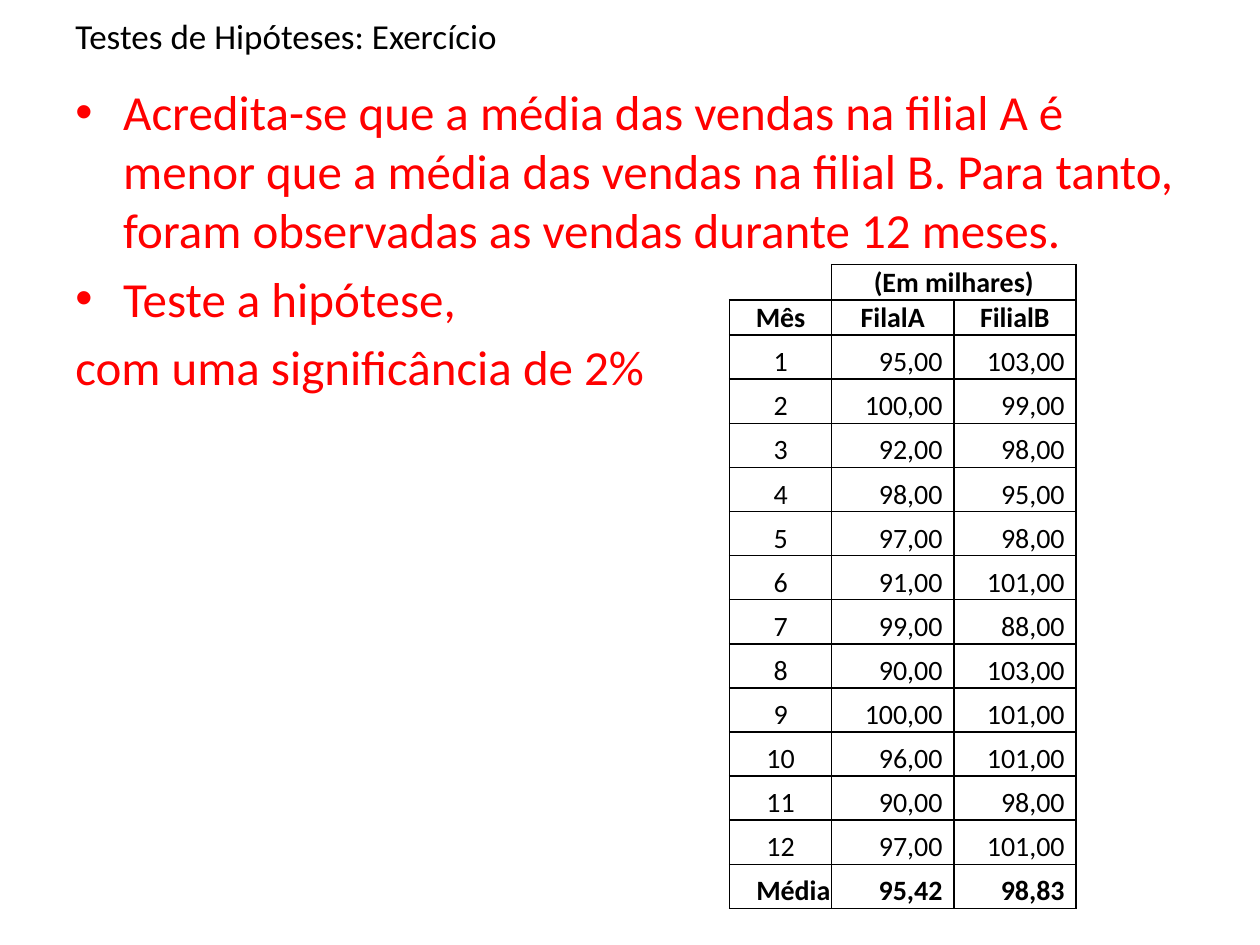
import pptx
import pptx.dml.color
import pptx.enum.text
import pptx.oxml.ns
import pptx.util
from lxml import etree

Inches = pptx.util.Inches
Pt = pptx.util.Pt
qn = pptx.oxml.ns.qn
Align = pptx.enum.text.PP_ALIGN
Anchor = pptx.enum.text.MSO_ANCHOR

COLORS = {"text": "000000", "exercise": "FF0000", "border": "000000"}

TITLE = "Testes de Hipóteses: Exercício"
EXERCISE = [  # text, has a bullet
    ("Acredita-se que a média das vendas na filial A é menor que a média das "
     "vendas na filial B. Para tanto, foram observadas as vendas durante 12 meses.", True),
    ("Teste a hipótese,", True),
    ("com uma significância de 2%", False),
]
SALES_A = [95, 100, 92, 98, 97, 91, 99, 90, 100, 96, 90, 97]
SALES_B = [103, 99, 98, 95, 98, 101, 88, 103, 101, 101, 98, 101]


def decimal_comma(value):
    return f"{value:.2f}".replace(".", ",")


class SlideBuilder:
    """Holds the style and the current slide."""

    font = "Calibri"
    table_size = 16

    def __init__(self, slide):
        self.slide = slide

    def span(self, para, text, size, color, bold=False):
        span = para.add_run()
        span.text = text
        span.font.name = self.font
        span.font.size = Pt(size)
        span.font.bold = bold
        span.font.color.rgb = pptx.dml.color.RGBColor.from_string(COLORS[color])

    def bullet(self, para):
        properties = para._p.get_or_add_pPr()
        properties.set("marL", str(Inches(0.38)))
        properties.set("indent", str(Inches(-0.38)))
        etree.SubElement(properties, qn("a:buFont"), typeface="Arial")
        etree.SubElement(properties, qn("a:buChar"), char="•")

    def text_box(self, left, top, width, height, items, size, color,
                 anchor=Anchor.TOP, space_before=0):
        box = self.slide.shapes.add_textbox(
            Inches(left), Inches(top), Inches(width), Inches(height))
        frame = box.text_frame
        frame.word_wrap = True
        frame.vertical_anchor = anchor
        for index, (text, bulleted) in enumerate(items):
            para = frame.add_paragraph() if index else frame.paragraphs[0]
            para.space_before = Pt(space_before)
            if bulleted:
                self.bullet(para)
            self.span(para, text, size, color)

    def borders(self, cell, visible):
        properties = cell._tc.get_or_add_tcPr()
        for index, side in enumerate("LRTB"):
            line = etree.Element(qn(f"a:ln{side}"), w=str(Pt(1)))
            if side in visible:
                fill = etree.SubElement(line, qn("a:solidFill"))
                etree.SubElement(fill, qn("a:srgbClr"), val=COLORS["border"])
            else:
                etree.SubElement(line, qn("a:noFill"))
            properties.insert(index, line)

    def cell(self, cell, text, align, bold, right_margin=0.01, visible="LRTB"):
        cell.fill.background()
        cell.vertical_anchor = Anchor.BOTTOM
        cell.margin_left = cell.margin_top = Inches(0.01)
        cell.margin_right = Inches(right_margin)
        cell.margin_bottom = 0
        para = cell.text_frame.paragraphs[0]
        para.alignment = align
        if text:
            self.span(para, text, self.table_size, "text", bold)
        else:
            # An empty cell keeps the table's text size so its row stays low
            etree.SubElement(para._p, qn("a:endParaRPr"), sz=str(self.table_size * 100))
        self.borders(cell, visible)

    def table(self, left, top, widths, heights, rows):
        table = self.slide.shapes.add_table(
            len(rows), len(widths), Inches(left), Inches(top),
            Inches(sum(widths)), Inches(sum(heights))).table
        table.first_row = table.horz_banding = False
        for column, width in zip(table.columns, widths):
            column.width = Inches(width)
        for row, height in zip(table.rows, heights):
            row.height = Inches(height)
        table.cell(0, 1).merge(table.cell(0, 2))
        last = len(rows) - 1
        for r, values in enumerate(rows):
            for c, text in enumerate(values):
                numeric = r > 1 and c > 0
                align = Align.RIGHT if numeric or (r == last and c == 0) else Align.CENTER
                self.cell(table.cell(r, c), text, align, r < 2 or r == last,
                          0.09 if numeric else 0.01,
                          "RB" if r == c == 0 else "LRTB")


def main():
    deck = pptx.Presentation()
    deck.slide_width = Inches(10)
    deck.slide_height = Inches(7.5)
    builder = SlideBuilder(deck.slides.add_slide(deck.slide_layouts[6]))

    # Title and exercise statement
    builder.text_box(0.5, 0.05, 9, 0.46, [(TITLE, False)], 20, "text", Anchor.MIDDLE)
    builder.text_box(0.5, 0.6, 9, 6.1, EXERCISE, 28, "exercise", space_before=5.6)

    # Monthly sales with the averages in the last row
    rows = [["", "(Em milhares)", ""], ["Mês", "FilalA", "FilialB"]]
    for month, (sales_a, sales_b) in enumerate(zip(SALES_A, SALES_B), start=1):
        rows.append([str(month), decimal_comma(sales_a), decimal_comma(sales_b)])
    rows.append(["Média"] + [decimal_comma(sum(sales) / len(sales))
                             for sales in (SALES_A, SALES_B)])
    builder.table(5.79, 2.1, [0.81, 0.97, 0.97], [0.28] * 2 + [0.35] * 13, rows)

    deck.save("out.pptx")


if __name__ == "__main__":
    main()
